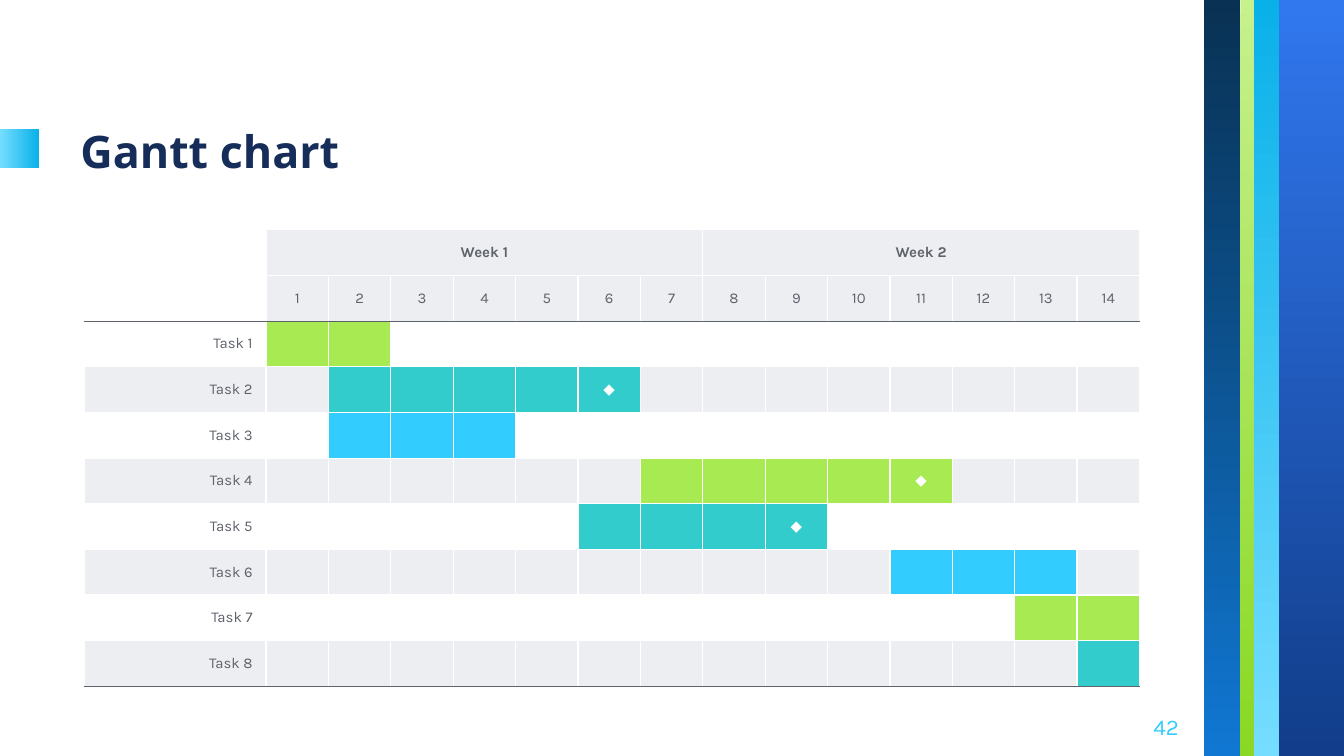
import pptx
import pptx.util
import pptx.dml.color
import pptx.enum.shapes
import pptx.enum.text
import pptx.oxml
import pptx.oxml.ns
from dataclasses import dataclass
from lxml import etree

Inches = pptx.util.Inches
Pt = pptx.util.Pt
ALIGN = pptx.enum.text.PP_ALIGN
ANCHOR = pptx.enum.text.MSO_ANCHOR

WIDE = 10
HIGH = WIDE * 9 / 16


@dataclass(frozen=True)
class Theme:
    head: str = "Noto Sans"
    body: str = "Karla"
    title: int = 24
    page: int = 12
    cell: int = 8
    rule: float = 0.75
    navy: str = "162D5A"
    grey: str = "5E626B"
    pale: str = "EDEEF1"
    white: str = "FFFFFF"
    lime: str = "A7EA52"
    teal: str = "33CCCC"
    sky: str = "33CCFF"
    sea: tuple = ("09B1E9", "75DDFF")


T = Theme()

# Colour, first day, last day, whether the last day is a milestone
TASKS = [
    (T.lime, 1, 2, False),
    (T.teal, 2, 6, True),
    (T.sky, 2, 4, False),
    (T.lime, 7, 11, True),
    (T.teal, 6, 9, True),
    (T.sky, 11, 13, False),
    (T.lime, 13, 14, False),
    (T.teal, 14, 14, False),
]
WEEK, WEEKS = 7, 2
DAYS = WEEK * WEEKS


def rgb(code):
    return pptx.dml.color.RGBColor.from_string(code)


def write(frame, text, size, color, face, align=ALIGN.LEFT, bold=False):
    para = frame.paragraphs[0]
    para.text = text
    para.alignment = align
    font = para.font
    font.size, font.name, font.bold = Pt(size), face, bold
    font.color.rgb = rgb(color)


def label(slide, box, anchor, *style):
    frame = slide.shapes.add_textbox(*map(Inches, box)).text_frame
    frame.word_wrap = True
    frame.vertical_anchor = anchor
    frame.margin_left = frame.margin_right = Inches(0.1)
    frame.margin_top = frame.margin_bottom = Inches(0.1)
    write(frame, *style)


def band(slide, box, colors, angle):
    """Add a borderless rectangle with a two-colour gradient."""
    rect = pptx.enum.shapes.MSO_SHAPE.RECTANGLE
    shape = slide.shapes.add_shape(rect, *map(Inches, box))
    shape.shadow.inherit = False
    shape.line.fill.background()
    shape.fill.gradient()
    shape.fill.gradient_angle = angle
    for stop, code in zip(shape.fill.gradient_stops, colors):
        stop.color.rgb = rgb(code)


def side(slide, left, top, width, height):
    """Lay the vertical colour bands over one another, right to left."""
    bands = [
        (0.55, 0.49, ("3177EE", "113D8A")),
        (0.36, 0.2, T.sea),
        (0.27, 0.1, ("C6F18D", "8AD824")),
        (0, 0.27, ("093153", "1077D2")),
    ]
    for shift, wide, colors in bands:
        wide = min(wide, width - shift)
        band(slide, (left + shift, top, wide, height), colors, 270)


def header(slide, left, top):
    band(slide, (left, top + 0.34, 0.29, 0.29), T.sea[::-1], 0)
    label(slide, (left + 0.5, top, 5.8, 0.8), ANCHOR.BOTTOM,
          "Gantt chart", T.title, T.navy, T.head, ALIGN.LEFT, True)


def edges(cell, colors):
    """Draw the left, right, top and bottom borders, in that order."""
    props = cell._tc.get_or_add_tcPr()
    for edge, code in zip("LRTB", colors):
        props.append(pptx.oxml.parse_xml(
            f'<a:ln{edge} {pptx.oxml.ns.nsdecls("a")} w="{Pt(T.rule)}">'
            f'<a:solidFill><a:srgbClr val="{code}"/></a:solidFill>'
            f'</a:ln{edge}>'))


def content(row, col):
    """Return text, fill, text colour, alignment and bold for a cell."""
    if row < 2:
        if col == 0:
            return "", None, T.grey, ALIGN.CENTER, False
        if row == 1:
            return str(col), T.pale, T.grey, ALIGN.CENTER, False
        week, day = divmod(col - 1, WEEK)
        text = "" if day else f"Week {week + 1}"
        return text, T.pale, T.grey, ALIGN.CENTER, True
    color, first, last, mark = TASKS[row - 2]
    fill = T.pale if row % 2 else None
    if col == 0:
        return f"Task {row - 1}", fill, T.grey, ALIGN.RIGHT, False
    if first <= col <= last:
        fill = color
    text = "◆" if mark and col == last else ""
    return text, fill, T.white, ALIGN.CENTER, False


def gantt(slide, left, top, width, height):
    rows, name = len(TASKS) + 2, 1.35
    box = map(Inches, (left, top, width, height))
    table = slide.shapes.add_table(rows, DAYS + 1, *box).table
    table.first_row = table.horz_banding = False
    for col, column in enumerate(table.columns):
        column.width = Inches((width - name) / DAYS if col else name)
    for line in table.rows:
        line.height = Inches(height / rows)
    for row in range(rows):
        above = T.grey if row == 2 else T.white
        below = T.grey if row in (1, rows - 1) else T.white
        for col in range(DAYS + 1):
            cell = table.cell(row, col)
            text, fill, color, align, bold = content(row, col)
            edges(cell, (T.white, T.white, above, below))
            cell.vertical_anchor = ANCHOR.MIDDLE
            if fill:
                cell.fill.solid()
                cell.fill.fore_color.rgb = rgb(fill)
            else:
                cell.fill.background()
            if text:
                write(cell.text_frame, text, T.cell, color, T.body, align, bold)
            else:
                # Keeps an empty cell from stretching its row
                etree.SubElement(cell.text_frame.paragraphs[0]._p,
                                 pptx.oxml.ns.qn("a:endParaRPr"),
                                 sz=str(T.cell * 100))
    for first in range(1, DAYS + 1, WEEK):
        table.cell(0, first).merge(table.cell(0, first + WEEK - 1))


def main():
    deck = pptx.Presentation()
    deck.slide_width, deck.slide_height = Inches(WIDE), Inches(HIGH)
    slide = deck.slides.add_slide(deck.slide_layouts[6])
    side(slide, 8.96, 0, WIDE - 8.96, HIGH)
    header(slide, 0, 0.62)
    label(slide, (8.27, 5.19, 0.6, 0.43), ANCHOR.MIDDLE,
          "42", T.page, T.sky, T.body, ALIGN.RIGHT)
    gantt(slide, 0.63, 1.71, 7.85, 3.4)
    deck.save("out.pptx")


if __name__ == "__main__":
    main()
